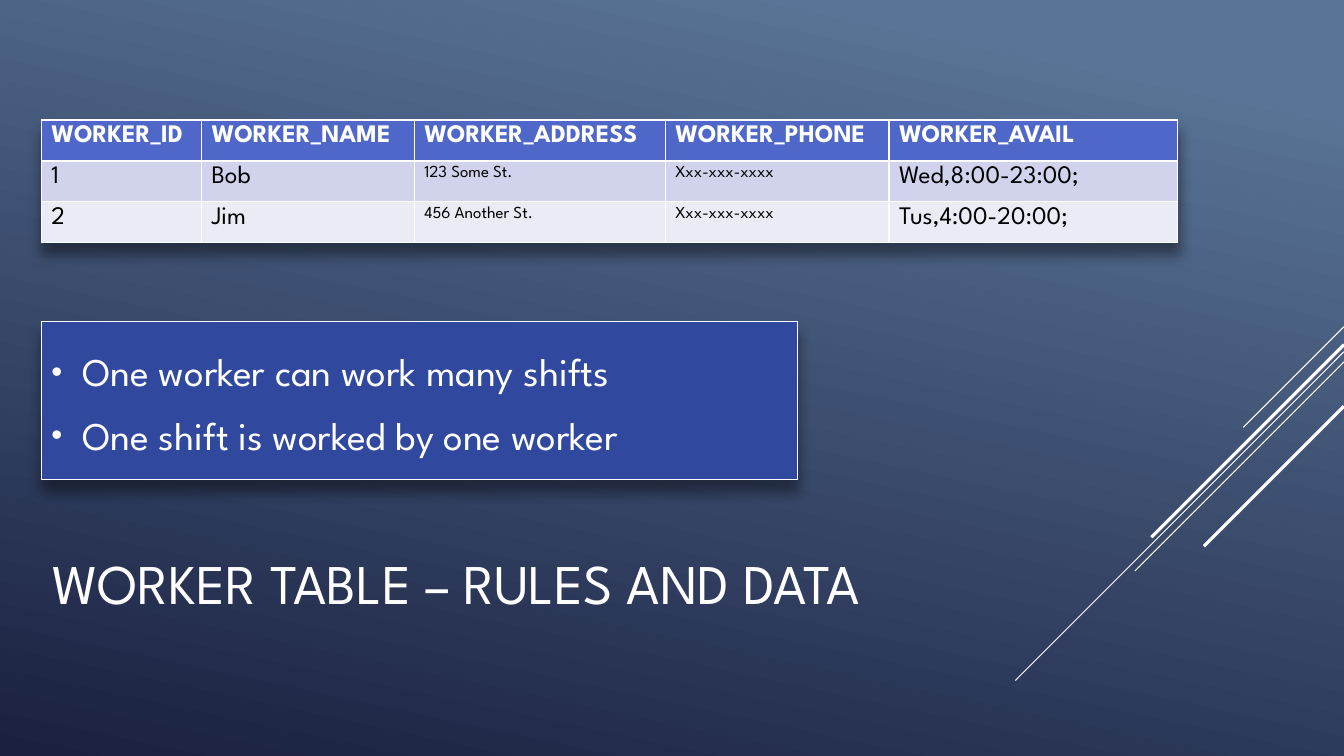
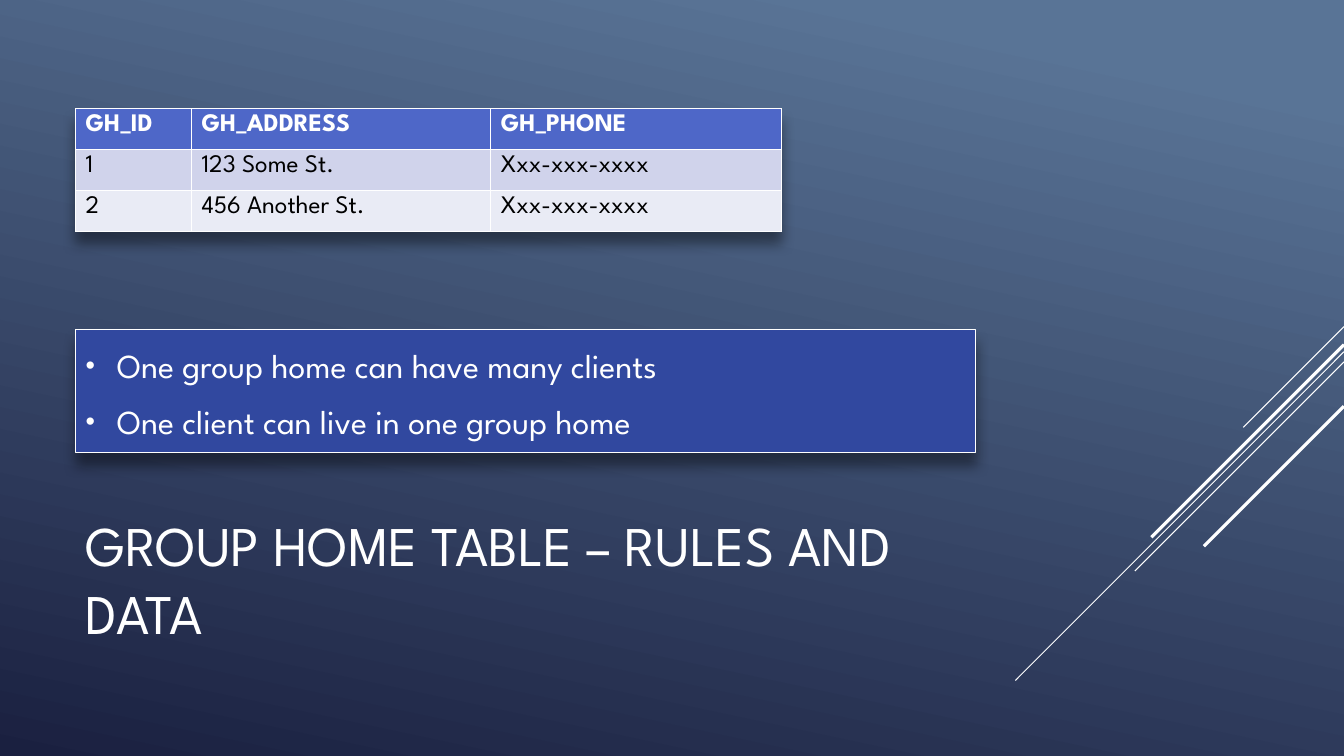
"""Build two slides that pair a sample table with its rules."""
from lxml import etree as et
from pptx import Presentation, util as u
from pptx.dml import color
from pptx.enum import shapes, text
from pptx.oxml import ns

CELL = u.Inches(7.5) // 90
COLS, ROWS = 160, 90


def grid(*cells):
    return [u.Emu(round(n * CELL)) for n in cells]


def hue(code):
    return color.RGBColor.from_string(code)


def node(up, tag, **attrs):
    return et.SubElement(up, ns.qn("a:" + tag), attrs)


def shade(up):
    cast = node(node(up, "effectLst"), "outerShdw", blurRad=str(u.Pt(9)),
                dist=str(u.Pt(8)), dir="5400000", rotWithShape="0")
    node(node(cast, "srgbClr", val="000000"), "alpha", val="40000")


class Deck:
    face = "League Spartan"
    white, black = "FFFFFF", "000000"
    blue, head = "31489F", "4E67C8"
    bands = "D0D3EB", "E9EBF5"
    sky = (0.1, "597496"), (1, "1A2040")
    rays = ((38.88, 12, 0.75), (41.88, 39.12, 0.75), (43.08, 24.9, 0.75),
            (41.04, 22.92, 2.25), (48.36, 16.68, 2.25))

    def __init__(self):
        self.file = Presentation()
        self.file.slide_width, self.file.slide_height = grid(COLS, ROWS)
        fill = self.file.slide_master.background.fill
        fill.gradient()
        fill.gradient_angle = 360 - 102
        for stop, (spot, code) in zip(fill.gradient_stops, self.sky):
            stop.position = spot
            stop.color.rgb = hue(code)

    def start(self):
        self.page = self.file.slides.add_slide(self.file.slide_layouts[1])
        for top, run, width in self.rays:
            self.ray(top, run, width)

    def send(self, shape, spot):
        self.page.shapes._spTree.insert(spot, shape._element)

    def ray(self, top, run, width):
        line = self.page.shapes.add_connector(
            shapes.MSO_CONNECTOR.STRAIGHT,
            *grid(COLS, top, COLS - run, top + run))
        line.line.color.rgb = hue(self.white)
        line.line.width = u.Pt(width)
        node(line._element.spPr, "effectLst")
        self.send(line, 2)

    def style(self, par, size, code, bold=False):
        font = par.font
        font.name, font.size, font.bold = self.face, u.Pt(size), bold
        font.color.rgb = hue(code)

    def place(self, shape, box):
        shape.left, shape.top, shape.width, shape.height = grid(*box)
        frame = shape.text_frame
        frame.auto_size = text.MSO_AUTO_SIZE.NONE
        frame.vertical_anchor = text.MSO_ANCHOR.MIDDLE
        return frame

    def title(self, words, *box):
        frame = self.place(self.page.shapes.title, box)
        frame.text = words
        par = frame.paragraphs[0]
        par.alignment = text.PP_ALIGN.LEFT
        self.style(par, 40, self.white)

    def panel(self, *box):
        rect = self.page.shapes.add_shape(
            shapes.MSO_SHAPE.RECTANGLE, *grid(*box))
        rect.fill.solid()
        rect.fill.fore_color.rgb = hue(self.blue)
        rect.line.color.rgb = hue(self.white)
        rect.line.width = u.Pt(1)
        shade(rect._element.spPr)
        self.send(rect, 2 + len(self.rays))

    def rules(self, items, size, *box):
        frame = self.place(self.page.placeholders[1], box)
        frame.text = "\n".join(items)
        for par in frame.paragraphs:
            props = par._p.get_or_add_pPr()
            props.set("marL", str(u.Inches(0.31)))
            props.set("indent", str(u.Inches(-0.31)))
            node(node(props, "buClr"), "srgbClr", val=self.white)
            node(props, "buSzPct", val="80000")
            node(props, "buFont", typeface="Arial")
            node(props, "buChar", char="•")
            par.space_after = u.Pt(6)
            self.style(par, size, self.white)
        frame.paragraphs[0].space_before = u.Pt(0)

    def table(self, rows, widths, left, top, small=()):
        tall = 4.88
        box = grid(left, top, sum(widths), tall * len(rows))
        table = self.page.shapes.add_table(len(rows), len(widths), *box).table
        props = table._tbl.tblPr
        shade(props)
        props.insert(0, props[-1])
        for col, width in zip(table.columns, grid(*widths)):
            col.width = width
        for i, row in enumerate(rows):
            table.rows[i].height = grid(tall)[0]
            top_row = i == 0
            for j, words in enumerate(row):
                cell = table.cell(i, j)
                cell.text = words
                cell.fill.solid()
                cell.fill.fore_color.rgb = hue(
                    self.head if top_row else self.bands[(i - 1) % 2])
                size = 12 if j in small and not top_row else 18
                self.style(cell.text_frame.paragraphs[0], size,
                           self.white if top_row else self.black, top_row)


def main():
    deck = Deck()

    deck.start()
    left = 4.92
    deck.panel(left, 38.28, 90, 18.84)
    deck.title("WORKER TABLE – RULES AND DATA", left + 0.12, 58.92, 120.72, 20.76)
    deck.rules(["One worker can work many shifts",
                "One shift is worked by one worker"],
               28, left, 31.4, 112, 33.12)
    deck.table([["WORKER_ID", "WORKER_NAME", "WORKER_ADDRESS",
                 "WORKER_PHONE", "WORKER_AVAIL"],
                ["1", "Bob", "123 Some St.", "Xxx-xxx-xxxx", "Wed,8:00-23:00;"],
                ["2", "Jim", "456 Another St.", "Xxx-xxx-xxxx",
                 "Tus,4:00-20:00;"]],
               [19.08, 25.32, 29.88, 26.64, 34.32], left, 14.28, small=(2, 3))

    deck.start()
    left = 9
    deck.panel(left, 39.24, 107.16, 14.64)
    deck.title("GROUP HOME TABLE – RULES AND DATA", left, 58.92, 112, 19.8)
    deck.rules(["One group home can have many clients",
                "One client can live in one group home"],
               24, left, 23.1, 112, 47.4)
    deck.table([["GH_ID", "GH_ADDRESS", "GH_PHONE"],
                ["1", "123 Some St.", "Xxx-xxx-xxxx"],
                ["2", "456 Another St.", "Xxx-xxx-xxxx"]],
               [13.8, 35.64, 34.56], left, 12.96)

    deck.file.save("out.pptx")


if __name__ == "__main__":
    main()
